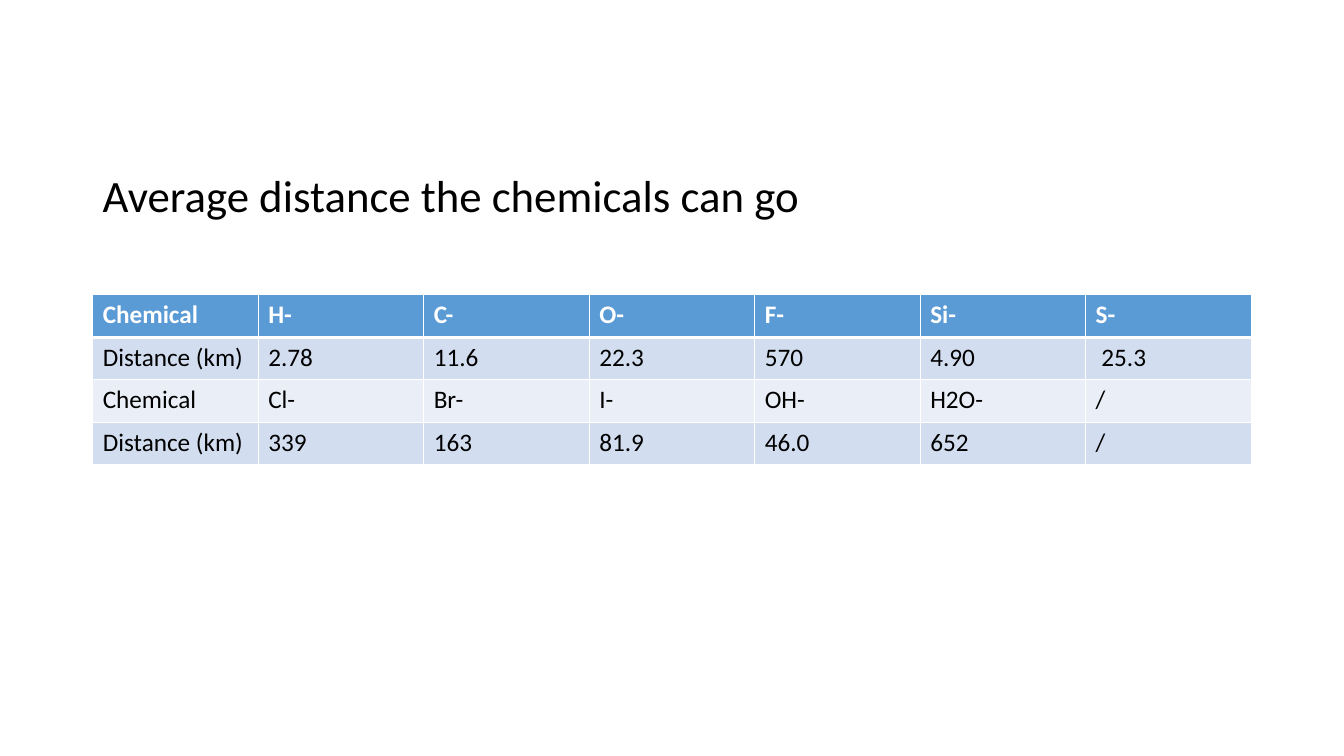
from dataclasses import dataclass

from lxml import etree
from pptx import Presentation
from pptx import util as u
from pptx.dml.color import RGBColor
from pptx.enum import text
from pptx.oxml import ns


@dataclass(frozen=True)
class Theme:
    """Colours, type sizes and rule weights of the slide."""
    font: str = "Calibri"
    ink: str = "000000"
    paper: str = "FFFFFF"
    header: str = "5B9BD5"
    bands: tuple = ("D2DEEF", "EAEFF7")
    title_size: float = 32
    body_size: float = 18
    thin: float = 1
    thick: float = 3


THEME = Theme()
WIDTH, HEIGHT = u.Inches(13.33), u.Inches(7.5)
MARGIN = 0.069
TITLE = "Average distance the chemicals can go"
DISTANCES = (
    ("Chemical", "H-", "C-", "O-", "F-", "Si-", "S-"),
    ("Distance (km)", "2.78", "11.6", "22.3", "570", "4.90", " 25.3"),
    ("Chemical", "Cl-", "Br-", "I-", "OH-", "H2O-", "/"),
    ("Distance (km)", "339", "163", "81.9", "46.0", "652", "/"),
)


def area(left, top, width, height):
    """Turn shares of the slide into lengths."""
    return [u.Emu(round(share * side)) for share, side in
            ((left, WIDTH), (top, HEIGHT), (width, WIDTH), (height, HEIGHT))]


def write(frame, wording, size, color, bold=False):
    """Put one formatted run into a text frame and return its paragraph."""
    paragraph = frame.paragraphs[0]
    run = paragraph.add_run()
    run.text = wording
    style = {"name": THEME.font, "size": u.Pt(size), "bold": bold}
    for name, value in style.items():
        setattr(run.font, name, value)
    run.font.color.rgb = RGBColor.from_string(color)
    return paragraph


def rule_cell(cell, weights):
    """Draw the cell's borders, given a weight in points for each side."""
    properties = cell._tc.get_or_add_tcPr()
    for position, (side, weight) in enumerate(weights.items()):
        border = etree.Element(ns.qn(f"a:ln{side}"), w=str(u.Pt(weight)))
        fill = etree.SubElement(border, ns.qn("a:solidFill"))
        etree.SubElement(fill, ns.qn("a:srgbClr"), val=THEME.paper)
        properties.insert(position, border)


def add_title(slide, wording, place):
    """Add the heading, resting on the bottom of its box."""
    frame = slide.shapes.add_textbox(*place).text_frame
    layout = {"word_wrap": True, "vertical_anchor": text.MSO_ANCHOR.BOTTOM}
    for name, value in layout.items():
        setattr(frame, name, value)
    write(frame, wording, THEME.title_size, THEME.ink).line_spacing = 0.9


def add_distance_table(slide, records, place):
    """Add an evenly divided table with a header and banded rows."""
    table = slide.shapes.add_table(len(records), len(records[0]), *place).table
    for row, record in enumerate(records):
        is_header = row == 0
        fill = THEME.header if is_header else THEME.bands[(row - 1) % 2]
        ink = THEME.paper if is_header else THEME.ink
        weights = {"L": THEME.thin, "R": THEME.thin,
                   "T": THEME.thick if row == 1 else THEME.thin,
                   "B": THEME.thick if is_header else THEME.thin}
        for column, entry in enumerate(record):
            cell = table.cell(row, column)
            cell.fill.solid()
            cell.fill.fore_color.rgb = RGBColor.from_string(fill)
            write(cell.text_frame, entry, THEME.body_size, ink, is_header)
            rule_cell(cell, weights)


def main():
    """Build and save the slide."""
    deck = Presentation()
    deck.slide_width, deck.slide_height = WIDTH, HEIGHT
    slide = deck.slides.add_slide(deck.slide_layouts[6])
    add_distance_table(slide, DISTANCES,
                       area(MARGIN, 0.39, 1 - 2 * MARGIN, 0.225))
    add_title(slide, TITLE, area(MARGIN, 0.184, 0.582, 0.116))
    deck.save("out.pptx")


main()
